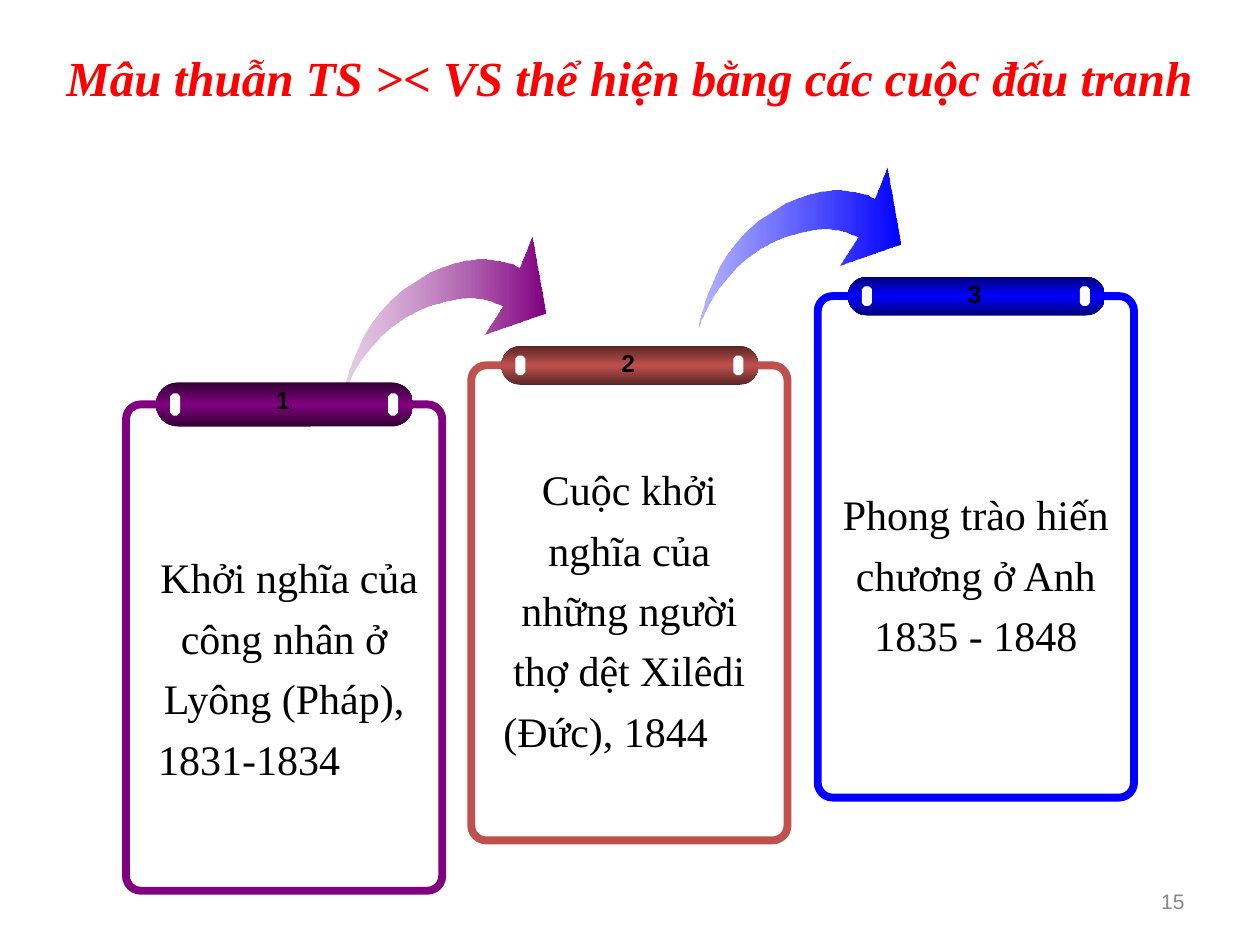
from dataclasses import dataclass

from lxml import etree
from pptx import Presentation
from pptx.dml.color import RGBColor
from pptx.enum.shapes import MSO_SHAPE as Shape
from pptx.enum.text import MSO_ANCHOR as Anchor, MSO_AUTO_SIZE as AutoSize, PP_ALIGN as Align
from pptx.oxml.ns import qn
from pptx.util import Inches, Pt


@dataclass(frozen=True)
class Theme:
    title: str = "FF0000"
    ink: str = "000000"
    muted: str = "898989"
    white: str = "FFFFFF"
    purple: str = "800080"
    purple_dark: str = "320032"
    purple_light: str = "B66CB6"
    red: str = "C0504D"
    red_dark: str = "592524"
    blue: str = "0000FF"
    blue_dark: str = "000076"
    blue_light: str = "1717FF"
    serif: str = "Times New Roman"
    sans: str = "Arial"
    title_size: int = 28
    body_size: int = 24
    number_size: int = 14
    page_size: int = 12
    frame_line: float = 4.5


THEME = Theme()

# Curved arrow outline, in hundredths of an inch from its top left corner
ARROW = [
    (0, 127), (0, 126), (1, 123), (2, 120), (5, 114), (8, 108), (12, 101), (17, 94),
    (23, 87), (30, 79), (38, 72), (48, 65), (59, 59), (69, 55), (80, 52), (89, 50),
    (97, 49), (104, 49), (111, 50), (116, 51), (120, 53), (123, 54), (126, 55),
    (111, 78), (160, 61), (149, 0), (139, 25), (137, 24), (134, 22), (130, 21),
    (125, 20), (119, 19), (113, 18), (105, 18), (97, 19), (88, 21), (79, 24), (69, 28),
    (58, 35), (47, 42), (37, 51), (29, 60), (22, 69), (16, 79), (12, 88), (8, 97),
    (5, 105), (3, 112), (1, 118), (0, 123),
]

# Frame box, colours, text and text top of each card
CARDS = [
    ((1, 3.21, 2.51, 3.86), THEME.purple, THEME.purple_dark, 0.35,
     " Khởi nghĩa của công nhân ở Lyông (Pháp), 1831-1834\t", (4.25, 2.02)),
    ((3.74, 2.9, 2.51, 3.77), THEME.red, THEME.red_dark, 0.31,
     "Cuộc khởi nghĩa của những người thợ dệt Xilêdi (Đức), 1844\t", (3.55, 2.5)),
    ((6.49, 2.35, 2.51, 3.98), THEME.blue, THEME.blue_dark, 0.31,
     "Phong trào hiến chương ở Anh 1835 - 1848", (3.75, 1.54)),
]

ARROWS = [
    ((2.73, 1.88), THEME.purple_light, THEME.purple),
    ((5.55, 1.33), THEME.blue_light, THEME.blue),
]


def apply(target, values):
    for name, value in values.items():
        setattr(target, name, value)


def add_tabs(para, count=8):
    """Left tab stops at every inch."""
    tabs = etree.SubElement(para._p.get_or_add_pPr(), qn("a:tabLst"))
    for inch in range(count):
        etree.SubElement(tabs, qn("a:tab"), pos=str(Inches(inch)), algn="l")


def add_text(page, box, text, color, font, align=Align.CENTER, frame=None, spacing=None):
    text_frame = page.shapes.add_textbox(*map(Inches, box)).text_frame
    apply(text_frame, {"word_wrap": True, **(frame or {})})
    para = text_frame.paragraphs[0]
    if "\t" in text:
        add_tabs(para)
    apply(para, {"alignment": align, "line_spacing": spacing})
    span = para.add_run()
    span.text = text
    apply(span.font, font)
    span.font.color.rgb = RGBColor.from_string(color)


def fill_gradient(shape, stops, angle):
    """Stops are (percent, colour, opacity percent)."""
    shape.fill.background()
    empty = shape._element.spPr.find(qn("a:noFill"))
    gradient = etree.Element(qn("a:gradFill"), rotWithShape="1")
    stop_list = etree.SubElement(gradient, qn("a:gsLst"))
    for percent, color, opacity in stops:
        stop = etree.SubElement(stop_list, qn("a:gs"), pos=str(percent * 1000))
        value = etree.SubElement(stop, qn("a:srgbClr"), val=color)
        if opacity < 100:
            etree.SubElement(value, qn("a:alpha"), val=str(opacity * 1000))
    etree.SubElement(gradient, qn("a:lin"), ang=str(angle * 60000), scaled="1")
    empty.getparent().replace(empty, gradient)


def add_plain(page, kind, box, adjust):
    shape = page.shapes.add_shape(kind, *map(Inches, box))
    shape.adjustments[0] = adjust
    shape.shadow.inherit = False
    shape.fill.background()
    shape.line.fill.background()
    return shape


def add_arrow(page, corner, light, dark):
    builder = page.shapes.build_freeform(*ARROW[0], scale=Inches(0.01))
    builder.add_line_segments(ARROW[1:], close=True)
    arrow = builder.convert_to_shape(*map(Inches, corner))
    arrow.shadow.inherit = False
    arrow.line.fill.background()
    fill_gradient(arrow, [(0, light, 32), (100, dark, 100)], 0)


def add_bar(page, box, color, dark, number):
    left, top, width, height = box
    bar = add_plain(page, Shape.ROUNDED_RECTANGLE, box, 0.5)
    fill_gradient(bar, [(0, dark, 100), (50, color, 100), (100, dark, 100)], 90)

    # White slots at both ends
    slot_width, slot_height = 0.08, height / 2
    for slot_left in (left + 0.11, left + width - 0.12 - slot_width):
        slot_box = (slot_left, top + height / 4, slot_width, slot_height)
        slot = add_plain(page, Shape.OCTAGON, slot_box, 0.29)
        slot.fill.solid()
        slot.fill.fore_color.rgb = RGBColor.from_string(THEME.white)

    add_text(page, (left + 0.85, top - 0.03, 0.31, 0.34), str(number), THEME.ink,
             {"name": THEME.sans, "size": Pt(THEME.number_size), "bold": True},
             frame={"word_wrap": False, "auto_size": AutoSize.SHAPE_TO_FIT_TEXT})


def add_card(page, number, box, color, dark, bar_height, text, text_span):
    left, top, width, _ = box
    frame = add_plain(page, Shape.ROUNDED_RECTANGLE, box, 0.047)
    frame.line.color.rgb = RGBColor.from_string(color)
    frame.line.width = Pt(THEME.frame_line)

    add_bar(page, (left + 0.24, top - bar_height / 2, 2.04, bar_height), color, dark, number)

    text_top, text_height = text_span
    add_text(page, (left + 0.09, text_top, width - 0.18, text_height), text, THEME.ink,
             {"name": THEME.serif, "size": Pt(THEME.body_size)},
             frame={"auto_size": AutoSize.SHAPE_TO_FIT_TEXT}, spacing=1.2)


def main():
    deck = Presentation()
    apply(deck, {"slide_width": Inches(10), "slide_height": Inches(7.5)})
    page = deck.slides.add_slide(deck.slide_layouts[6])

    # Title and page number
    add_text(page, (0.33, 0.33, 9.33, 0.67),
             "Mâu thuẫn TS >< VS thể hiện bằng các cuộc đấu tranh", THEME.title,
             {"name": THEME.serif, "size": Pt(THEME.title_size), "bold": True, "italic": True})
    add_text(page, (7.17, 6.95, 2.33, 0.4), "15", THEME.muted,
             {"name": THEME.sans, "size": Pt(THEME.page_size)}, Align.RIGHT,
             {"vertical_anchor": Anchor.MIDDLE})

    # Rising steps
    for arrow in ARROWS:
        add_arrow(page, *arrow)
    for number, card in enumerate(CARDS, 1):
        add_card(page, number, *card)

    deck.save("out.pptx")


if __name__ == "__main__":
    main()
